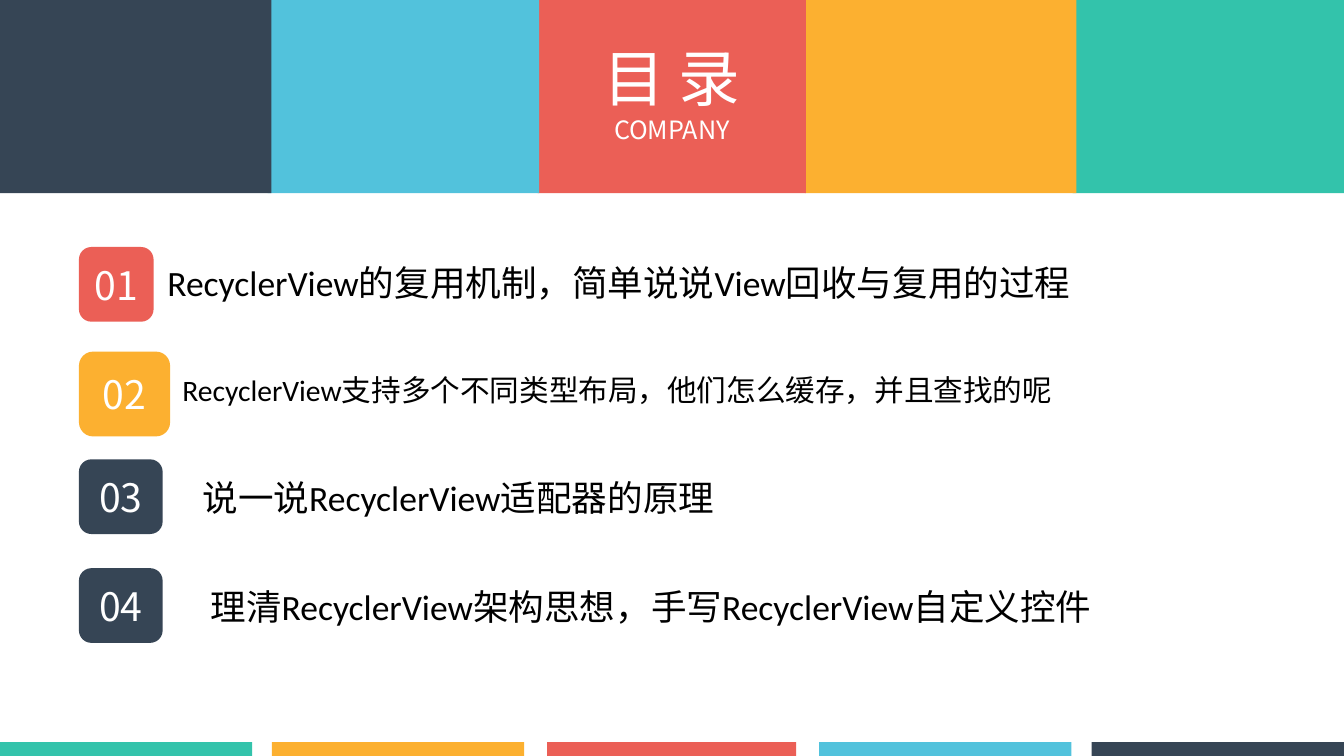
from lxml.etree import SubElement
from pptx import Presentation
from pptx.dml.color import RGBColor
from pptx.enum.shapes import MSO_SHAPE
from pptx.enum.text import MSO_ANCHOR, MSO_AUTO_SIZE, PP_ALIGN
from pptx.oxml.ns import qn
from pptx.util import Inches, Pt

GREEN = RGBColor(0x33, 0xC3, 0xAB)
YELLOW = RGBColor(0xFC, 0xB0, 0x30)
RED = RGBColor(0xEB, 0x5F, 0x56)
BLUE = RGBColor(0x52, 0xC2, 0xDC)
NAVY = RGBColor(0x36, 0x45, 0x55)
WHITE = RGBColor(0xFF, 0xFF, 0xFF)
BLACK = RGBColor(0x00, 0x00, 0x00)
CJK, LATIN = "Noto Sans CJK SC", "Calibri"

COLOURS = [GREEN, YELLOW, RED, BLUE, NAVY]
# Left and width of each block, in the order of COLOURS
HEADER = [(20.11, 5.09), (15.09, 5.09), (10.08, 5.03), (5.02, 5.09), (0, 5.09)]
FOOTER = [(0, 4.73), (5.1, 4.73), (10.26, 4.67), (15.36, 4.73), (20.47, 4.73)]

# Number, colour, badge (top, width, height), text box, first-line indent, size, text
ITEMS = [
    ("01", RED, (4.63, 1.4, 1.4), (3.04, 4.85, 19.88, 0.91), 0, 48,
     "RecyclerView的复用机制，简单说说View回收与复用的过程"),
    ("02", YELLOW, (6.59, 1.71, 1.59), (3.19, 6.92, 18.12, 1.45), 0.13, 40,
     "RecyclerView支持多个不同类型布局，他们怎么缓存，并且查找的呢"),
    ("03", NAVY, (8.61, 1.57, 1.4), (3.25, 8.88, 12.59, 0.91), 0.45, 48,
     "说一说RecyclerView适配器的原理"),
    ("04", NAVY, (10.65, 1.57, 1.4), (3.25, 10.92, 17.9, 0.91), 0.6, 48,
     "理清RecyclerView架构思想，手写RecyclerView自定义控件"),
]


def write(p, text, size, font, colour, align=PP_ALIGN.LEFT, indent=0):
    p.text = text
    p.alignment = align
    p.font.size = Pt(size)
    p.font.color.rgb = colour
    p.font.name = font
    pPr = p._p.get_or_add_pPr()
    pPr.set("marL", "0")
    pPr.set("indent", str(Inches(indent)))
    # East Asian characters use the same sans face throughout
    SubElement(pPr.find(qn("a:defRPr")), qn("a:ea"), typeface=CJK)


def add_block(s, kind, box, colour):
    sp = s.shapes.add_shape(kind, *map(Inches, box))
    sp.shadow.inherit = False
    sp.fill.solid()
    sp.fill.fore_color.rgb = colour
    sp.line.fill.background()
    return sp


def add_band(s, columns, top, height):
    for (left, width), colour in zip(columns, COLOURS):
        add_block(s, MSO_SHAPE.RECTANGLE, (left, top, width, height), colour)


def add_title(s):
    sp = s.shapes.title
    sp.left, sp.top, sp.width, sp.height = map(Inches, (11.16, 0.7, 2.88, 2.07))
    tf = sp.text_frame
    tf.word_wrap = False
    tf.auto_size = MSO_AUTO_SIZE.NONE
    tf.vertical_anchor = MSO_ANCHOR.TOP
    write(tf.paragraphs[0], "目 录", 83.2, CJK, WHITE, PP_ALIGN.CENTER)
    write(tf.add_paragraph(), "COMPANY", 34, CJK, WHITE, PP_ALIGN.CENTER)
    # Bring the title in front of the header band
    s.shapes.element.append(sp.element)


def add_item(s, number, colour, badge, box, indent, size, text):
    top, width, height = badge
    sp = add_block(s, MSO_SHAPE.ROUNDED_RECTANGLE, (1.48, top, width, height), colour)
    tf = sp.text_frame
    tf.vertical_anchor = MSO_ANCHOR.MIDDLE
    write(tf.paragraphs[0], number, 52.9, CJK, WHITE, PP_ALIGN.CENTER)

    tf = s.shapes.add_textbox(*map(Inches, box)).text_frame
    tf.word_wrap = True
    write(tf.paragraphs[0], text, size, LATIN, BLACK, indent=indent)


def main():
    prs = Presentation()
    prs.slide_width, prs.slide_height = Inches(25.2), Inches(14.17)
    s = prs.slides.add_slide(prs.slide_layouts[5])

    # Header with title
    add_band(s, HEADER, 0, 3.62)
    add_title(s)

    # Footer strip
    add_band(s, FOOTER, 13.91, 0.27)

    # Agenda
    for item in ITEMS:
        add_item(s, *item)

    prs.save("out.pptx")


if __name__ == "__main__":
    main()
